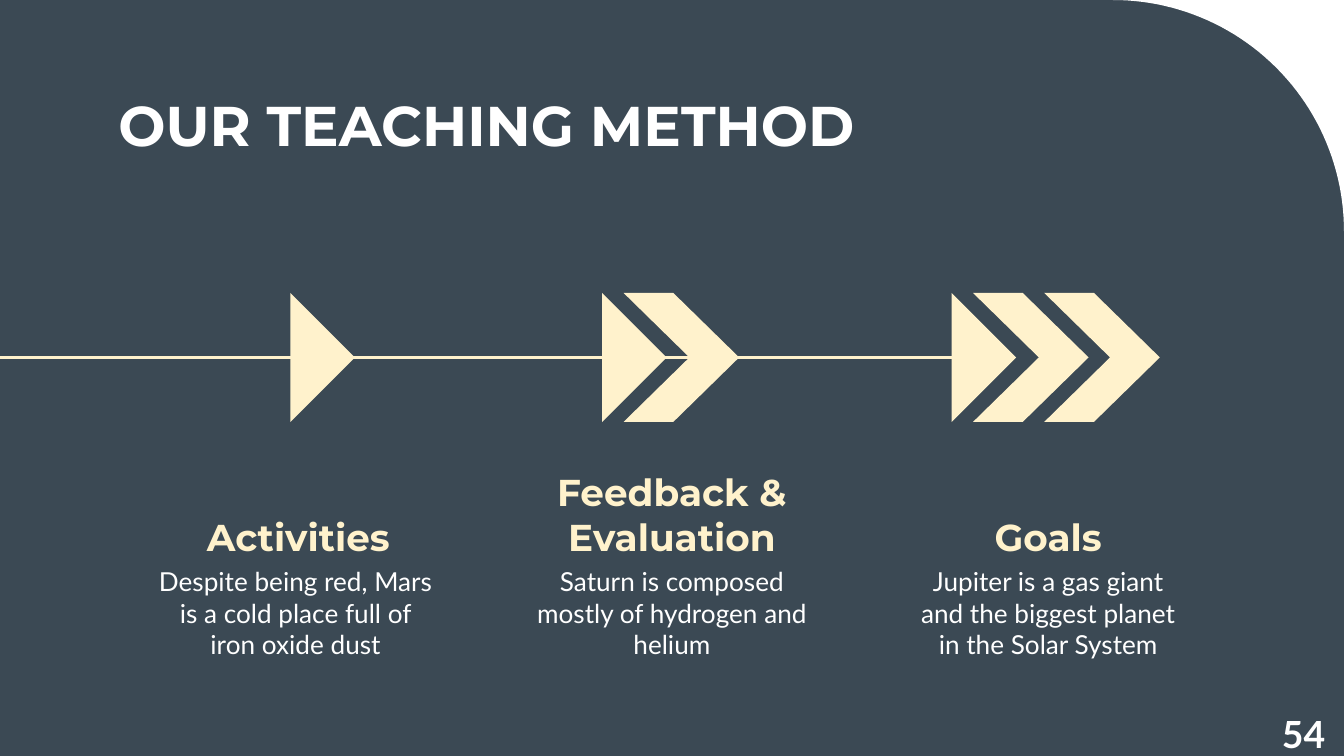
from dataclasses import dataclass
from math import cos, pi, sin

from lxml.etree import SubElement
from pptx import Presentation
from pptx.dml.color import RGBColor
from pptx.enum.shapes import MSO_CONNECTOR, MSO_SHAPE
from pptx.enum.text import MSO_ANCHOR as Anchor, MSO_AUTO_SIZE, PP_ALIGN as Align
from pptx.oxml.ns import qn
from pptx.util import Inches, Pt

SLATE = RGBColor(0x3B, 0x49, 0x54)
CREAM = RGBColor(0xFF, 0xF2, 0xCC)
WHITE = RGBColor(0xFF, 0xFF, 0xFF)

# Lengths are in inches
WIDTH = 10
HEIGHT = WIDTH * 9 / 16
COLUMN_PITCH = 0.28 * WIDTH
HEADING_W, BODY_W = 0.24 * WIDTH, 0.227 * WIDTH
AXIS_Y = 2.66
HALF_H = 0.48
TRIANGLE_SIDE = 0.68
CHEVRON_GAP, CHEVRON_STEP, CHEVRON_BAND = 0.16, 0.53, 0.37
CORNER_RADIUS = 1.72


@dataclass(frozen=True)
class Style:
    font: str
    size: int
    color: RGBColor
    bold: bool = False
    align: Align = Align.CENTER
    anchor: Anchor = Anchor.TOP
    space_after: int = 0


@dataclass(frozen=True)
class Step:
    heading: str
    body: str
    arrow_x: float
    chevrons: int
    heading_shift: float = 0


TITLE = Style("Montserrat", 30, WHITE, True, Align.LEFT, Anchor.MIDDLE)
HEADING = Style("Montserrat", 20, CREAM, True, anchor=Anchor.BOTTOM)
BODY = Style("Lato", 14, WHITE, space_after=16)
NUMBER = Style("Lato", 20, WHITE, True, Align.RIGHT)

STEPS = [
    Step("Activities", "Despite being red, Mars is a cold place full of iron oxide dust",
         2.16, 0, heading_shift=0.02),
    Step("Feedback & Evaluation", "Saturn is composed mostly of hydrogen and helium", 4.48, 1),
    Step("Goals", "Jupiter is a gas giant and the biggest planet in the Solar System", 7.08, 2),
]


def write(sp, text: str, style: Style) -> None:
    tf = sp.text_frame
    tf.word_wrap = True
    tf.auto_size = MSO_AUTO_SIZE.NONE
    tf.vertical_anchor = style.anchor
    tf.margin_left = tf.margin_right = tf.margin_top = tf.margin_bottom = Inches(0.1)
    tf.text = text
    p = tf.paragraphs[0]
    p.alignment = style.align
    p.space_before = Pt(0)
    p.space_after = Pt(style.space_after)
    font = p.runs[0].font
    font.name, font.size, font.bold = style.font, Pt(style.size), style.bold
    font.color.rgb = style.color


def add_text(s, x: float, y: float, w: float, h: float, text: str, style: Style) -> None:
    sp = s.shapes.add_textbox(Inches(x), Inches(y), Inches(w), Inches(h))
    write(sp, text, style)


def paint(sp, color: RGBColor) -> None:
    sp.shadow.inherit = False
    sp.fill.solid()
    sp.fill.fore_color.rgb = color
    sp.line.fill.background()


def add_polygon(s, points: list[tuple[float, float]], color: RGBColor) -> None:
    corners = [(Inches(x), Inches(y)) for x, y in points]
    builder = s.shapes.build_freeform(*corners[0])
    builder.add_line_segments(corners[1:], close=True)
    paint(builder.convert_to_shape(), color)


def add_corner(s) -> None:
    """Cut a rounded corner out of the top right of the slide."""
    r, count = CORNER_RADIUS, 48
    angles = [pi / 2 * i / count for i in range(count + 1)]
    arc = [(WIDTH - r + r * sin(a), r - r * cos(a)) for a in angles]
    add_polygon(s, arc + [(WIDTH, 0)], WHITE)


def add_arrow(s, step: Step) -> None:
    """Draw a triangle pointing right, followed by the step's chevrons."""
    side = Inches(TRIANGLE_SIDE)
    sp = s.shapes.add_shape(
        MSO_SHAPE.RIGHT_TRIANGLE,
        Inches(step.arrow_x) - side // 2, Inches(AXIS_Y) - side // 2, side, side)
    sp.rotation = 225
    paint(sp, CREAM)
    top, bottom = AXIS_Y - HALF_H, AXIS_Y + HALF_H
    for i in range(step.chevrons):
        x = step.arrow_x + CHEVRON_GAP + i * CHEVRON_STEP
        notch = x + HALF_H + 0.01
        add_polygon(s, [
            (x, top), (x + CHEVRON_BAND, top), (notch + CHEVRON_BAND, AXIS_Y),
            (x + CHEVRON_BAND, bottom), (x, bottom), (notch, AXIS_Y)], CREAM)


def add_timeline(s, end_x: float) -> None:
    y = Inches(AXIS_Y)
    line = s.shapes.add_connector(MSO_CONNECTOR.STRAIGHT, 0, y, Inches(end_x), y)
    line.line.color.rgb = CREAM
    line.line.width = Pt(1.5)
    SubElement(line._element.spPr, qn("a:effectLst"))


def main() -> None:
    prs = Presentation()
    prs.slide_width, prs.slide_height = Inches(WIDTH), Inches(HEIGHT)
    s = prs.slides.add_slide(prs.slide_layouts.get_by_name("Title Only"))
    s.background.fill.solid()
    s.background.fill.fore_color.rgb = SLATE
    add_corner(s)

    title = s.shapes.title
    title.left, title.top = Inches(0.78), Inches(0.61)
    title.width, title.height = Inches(WIDTH - 2 * 0.78), Inches(0.63)
    write(title, "OUR TEACHING METHOD", TITLE)

    for column, step in enumerate(STEPS):
        center = WIDTH / 2 + (column - 1) * COLUMN_PITCH
        heading_x = center - HEADING_W / 2 + step.heading_shift
        add_text(s, heading_x, 3.45, HEADING_W, 0.81, step.heading, HEADING)
        add_text(s, center - BODY_W / 2, 4.11, BODY_W, 0.91, step.body, BODY)
        add_arrow(s, step)
    add_timeline(s, STEPS[-1].arrow_x)

    add_text(s, 9.36, 5.19, 0.6, 0.43, "54", NUMBER)
    prs.save("out.pptx")


if __name__ == "__main__":
    main()
